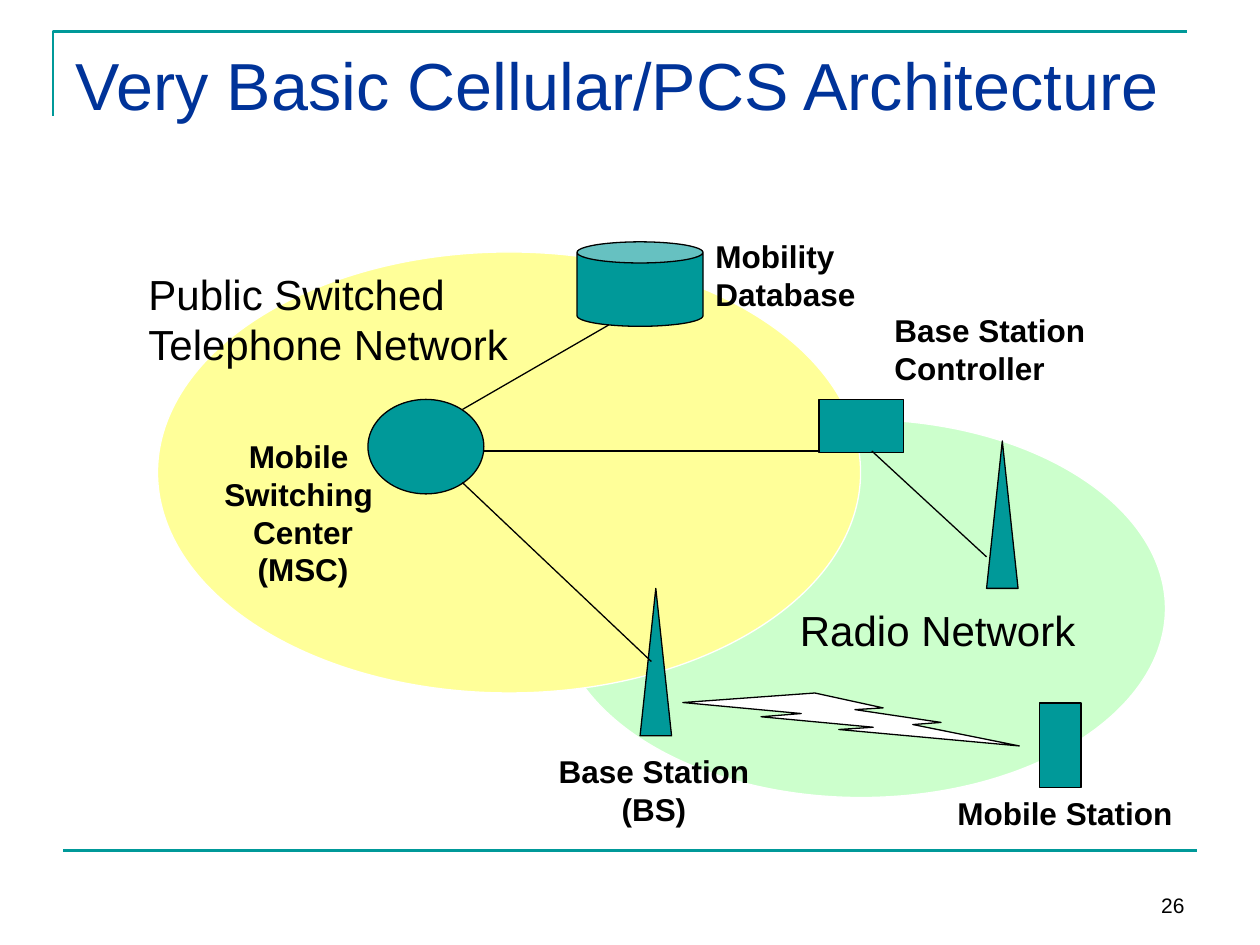
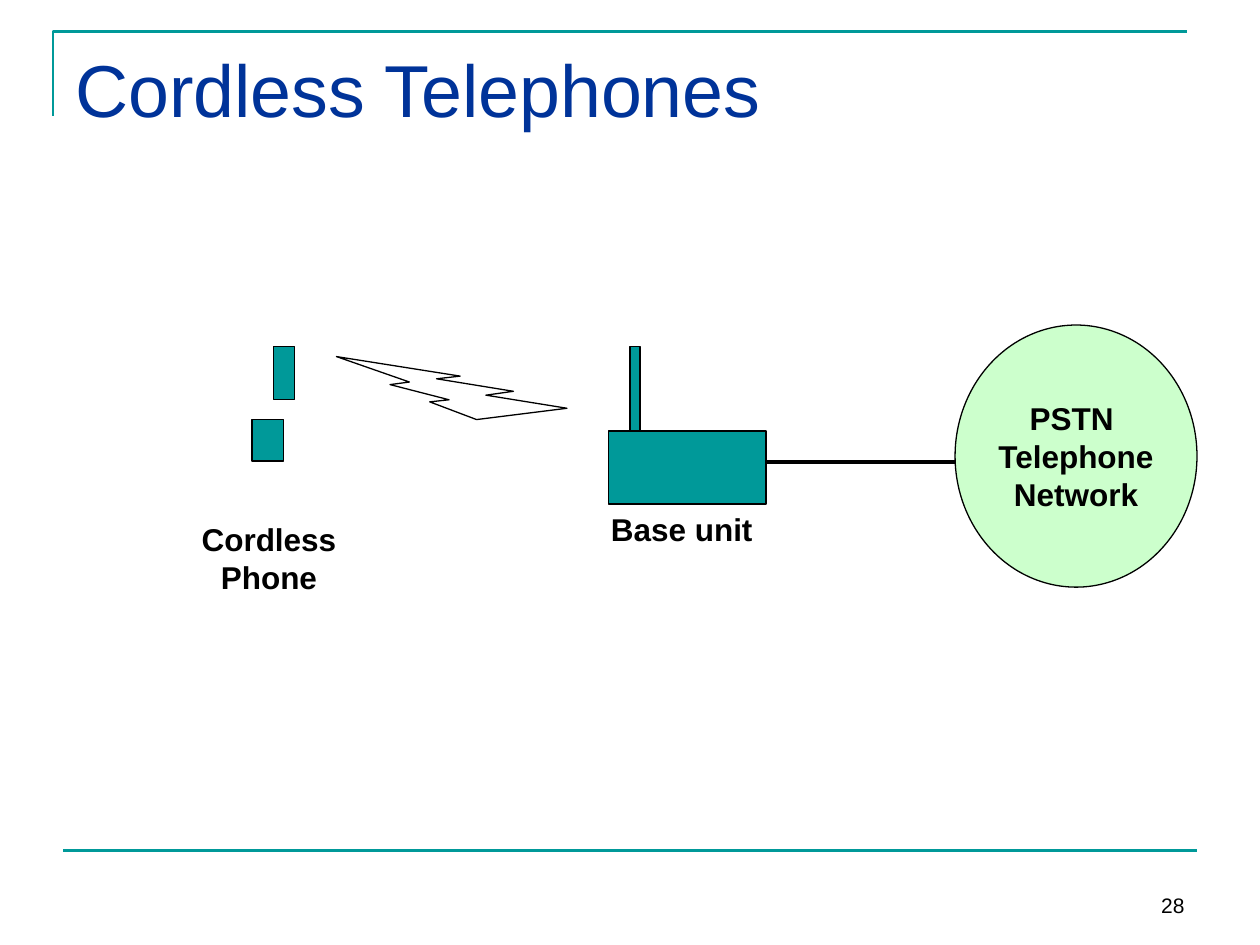
"""Build two slides on cellular and cordless telephone architecture."""
from lxml import etree
from pptx import Presentation
from pptx import util as u
from pptx.dml import color
from pptx.enum import shapes, text
from pptx.oxml import ns

FONT = "Arial"
COLOURS = {"teal": "009999", "title": "003399", "black": "000000", "white": "FFFFFF",
           "green": "CCFFCC", "yellow": "FFFF99"}
KINDS = shapes.MSO_SHAPE
ALIGN = text.PP_ALIGN
FRAME = [(0.42, 0.92), (0.42, 0.25), (9.42, 0.25)]
FOOTER_RULE = ((0.5, 6.75), (9.5, 6.75))
TITLE_BOX = (0.5, 0.3, 9, 1.25)
NUMBER_BOX = (7.17, 6.83, 2.33, 0.5)
TOWER_SIZE = (0.25, 1.17)

SLIDES = [
    {
        "title": "Very Basic Cellular/PCS Architecture", "title_size": 38, "number": "26",
        "shapes": [
            (KINDS.OVAL, (4.42, 3.33, 4.83, 3), {"fill": "green", "line": "white"}),
            (KINDS.OVAL, (1.25, 2, 5.58, 3.5), {"fill": "yellow", "line": "white"}),
            (KINDS.ISOSCELES_TRIANGLE, (5.08, 4.67, *TOWER_SIZE), {}),
            (KINDS.ISOSCELES_TRIANGLE, (7.83, 3.5, *TOWER_SIZE), {}),
            (KINDS.RECTANGLE, (8.25, 5.58, 0.33, 0.67), {}),
            (KINDS.OVAL, (2.92, 3.17, 0.92, 0.75), {}),
            (KINDS.CAN, (4.58, 1.92, 1, 0.67), {}),
            (KINDS.RECTANGLE, (6.5, 3.17, 0.67, 0.42), {}),
            (KINDS.LIGHTNING_BOLT, (5.42, 5.5, 2.67, 0.42), {"fill": "white"}),
        ],
        "lines": [
            ((3.67, 3.83), (5.17, 5.25), 0.75),
            ((3.67, 3.25), (4.83, 2.58), 0.75),
            ((3.83, 3.58), (6.5, 3.58), 0.75),
            ((6.92, 3.58), (7.83, 4.42), 0.75),
        ],
        "labels": [
            (["Base Station", "(BS)"], (4.33, 5.92, 1.72, 0.7), {"align": ALIGN.CENTER}),
            (["Mobile Station"], (7.5, 6.25, 1.91, 0.4), {}),
            (["Base Station", "Controller"], (7, 2.42, 1.78, 0.7), {}),
            (["Mobility", "Database"], (5.58, 1.83, 1.31, 0.7), {}),
            (["Mobile ", "Switching ", "Center", "(MSC)"], (1.25, 3.42, 2.31, 1.3),
             {"align": ALIGN.CENTER, "wrap": True}),
            (["Radio Network"], (6.25, 4.75, 2.39, 0.5), {"size": 24, "bold": False}),
            (["Public Switched", "Telephone Network"], (1.08, 2.08, 3.1, 0.9),
             {"size": 24, "bold": False}),
        ],
    },
    {
        "title": "Cordless Telephones", "title_size": 42, "number": "28",
        "shapes": [
            (KINDS.RECTANGLE, (4.83, 3.42, 1.25, 0.58), {}),
            (KINDS.RECTANGLE, (2.17, 2.75, 0.17, 0.42), {}),
            (KINDS.RECTANGLE, (2, 3.33, 0.25, 0.33), {}),
            (KINDS.RECTANGLE, (5, 2.75, 0.08, 0.67), {}),
            (KINDS.LIGHTNING_BOLT, (2.67, 2.83, 1.83, 0.5), {"fill": "white", "rotation": 180}),
            (KINDS.OVAL, (7.58, 2.58, 1.92, 2.08),
             {"fill": "green", "lines": ["PSTN ", "Telephone", "Network"]}),
        ],
        "lines": [((6.08, 3.67), (7.58, 3.67), 2.25)],
        "labels": [
            (["Cordless", "Phone"], (1.5, 4.08, 1.27, 0.7), {"align": ALIGN.CENTER}),
            (["Base unit"], (4.75, 4, 1.33, 0.4), {}),
        ],
    },
]


def inches(values):
    return [u.Inches(value) for value in values]


def rgb(name):
    return color.RGBColor.from_string(COLOURS[name])


def write(shape, lines, *, size=18, bold=True, colour="black", align=ALIGN.LEFT,
          anchor=text.MSO_ANCHOR.TOP, wrap=False):
    frame = shape.text_frame
    frame.word_wrap = wrap
    frame.vertical_anchor = anchor
    for index, line in enumerate(lines):
        paragraph = frame.paragraphs[0] if index == 0 else frame.add_paragraph()
        paragraph.alignment = align
        run = paragraph.add_run()
        run.text = line
        run.font.name = FONT
        run.font.size = u.Pt(size)
        run.font.bold = bold
        run.font.color.rgb = rgb(colour)


def add_label(slide, lines, box, **style):
    write(slide.shapes.add_textbox(*inches(box)), lines, **style)


def set_line(shape, colour, width):
    shape.line.color.rgb = rgb(colour)
    shape.line.width = u.Pt(width)


def add_node(slide, kind, box, fill="teal", line="black", rotation=0, lines=()):
    shape = slide.shapes.add_shape(kind, *inches(box))
    shape.shadow.inherit = False
    shape.fill.solid()
    shape.fill.fore_color.rgb = rgb(fill)
    set_line(shape, line, 0.75)
    shape.rotation = rotation
    if lines:
        write(shape, lines, align=ALIGN.CENTER, anchor=text.MSO_ANCHOR.MIDDLE)


def add_line(slide, start, end, width, colour="black"):
    connector = slide.shapes.add_connector(
        shapes.MSO_CONNECTOR.STRAIGHT, *inches(start + end))
    set_line(connector, colour, width)
    etree.SubElement(connector._element.spPr, ns.qn("a:effectLst"))


def add_base(slide, content):
    builder = slide.shapes.build_freeform(*inches(FRAME[0]))
    builder.add_line_segments([inches(point) for point in FRAME[1:]], close=False)
    frame = builder.convert_to_shape()
    frame.shadow.inherit = False
    frame.fill.background()
    set_line(frame, "teal", 1.5)
    add_line(slide, *FOOTER_RULE, 1.5, "teal")
    add_label(slide, [content["number"]], NUMBER_BOX, size=12, bold=False,
              align=ALIGN.RIGHT, anchor=text.MSO_ANCHOR.BOTTOM, wrap=True)
    add_label(slide, [content["title"]], TITLE_BOX, size=content["title_size"],
              bold=False, colour="title", wrap=True)


def main():
    presentation = Presentation()
    presentation.slide_width, presentation.slide_height = inches((10, 7.5))
    for content in SLIDES:
        slide = presentation.slides.add_slide(presentation.slide_layouts[6])
        add_base(slide, content)
        for kind, box, style in content["shapes"]:
            add_node(slide, kind, box, **style)
        for start, end, width in content["lines"]:
            add_line(slide, start, end, width)
        for lines, box, style in content["labels"]:
            add_label(slide, lines, box, **style)
    presentation.save("out.pptx")


if __name__ == "__main__":
    main()
